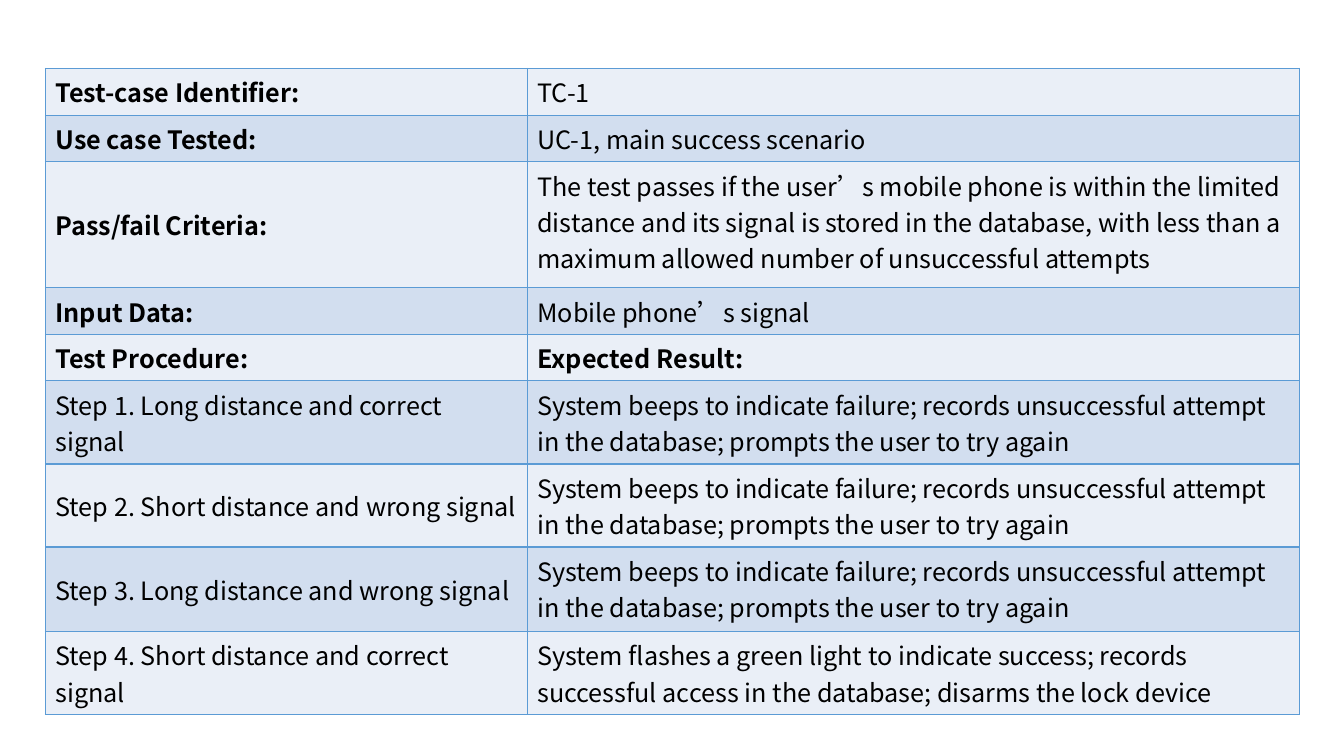
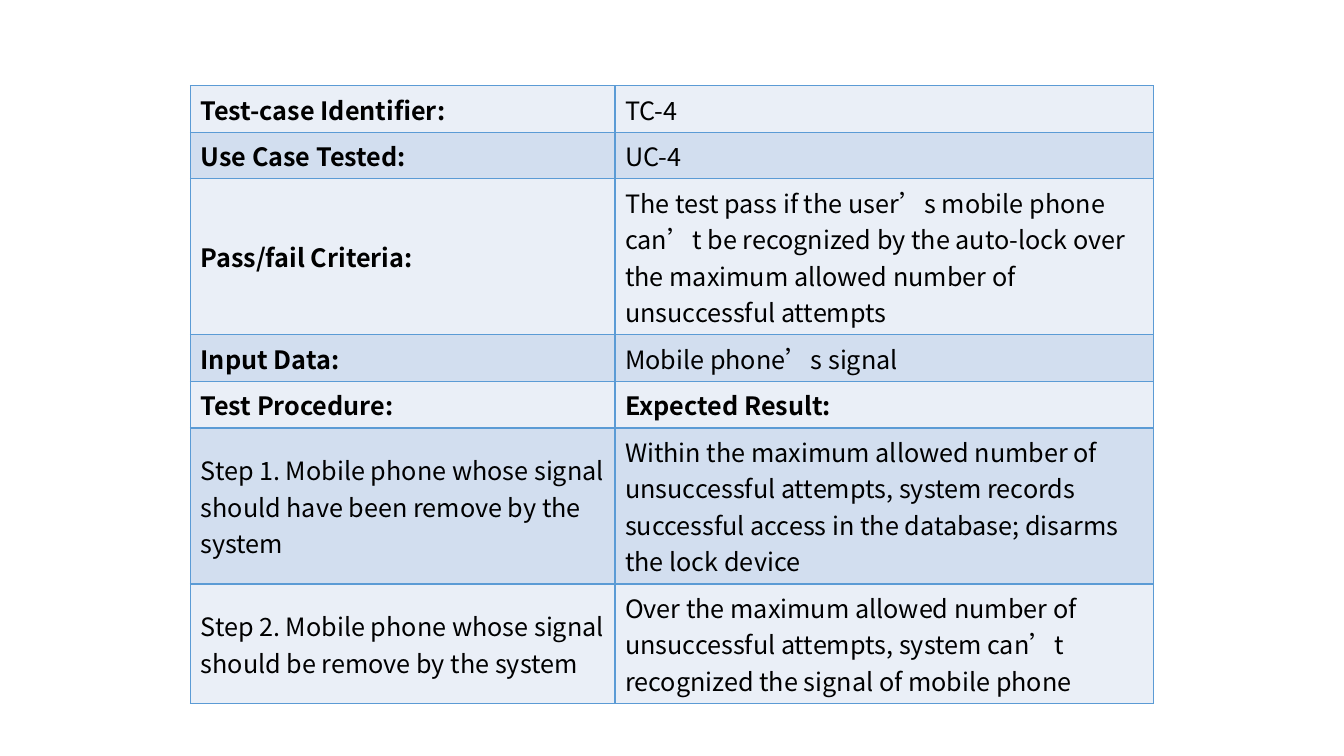
from dataclasses import dataclass

from lxml.etree import SubElement
from pptx import Presentation
from pptx.dml.color import RGBColor
from pptx.enum.text import MSO_ANCHOR as Anchor
from pptx.oxml.ns import qn
from pptx.slide import Slide
from pptx.table import _Cell as Cell
from pptx.util import Inches, Pt

COLORS = {"light": "EAEFF7", "dark": "D2DEEF", "border": "5B9BD5", "text": "000000"}
FONT = "Noto Sans CJK SC"
FONT_SIZE = Pt(18)
BORDER_WIDTH = Pt(1)
FAILURE = ("System beeps to indicate failure; records unsuccessful attempt "
           "in the database; prompts the user to try again")


@dataclass
class TestCase:
    """A two-column test-case table; lengths are in inches."""
    left: float
    top: float
    widths: list[float]
    heights: list[float]
    rows: list[tuple[str, str]]
    result_anchor: Anchor


TEST_CASES = [
    TestCase(
        0.45, 0.68, [4.78, 7.66],
        [0.45, 0.45, 1.25, 0.45, 0.45, 0.74, 0.76, 0.84, 0.77],
        [
            ("Test-case Identifier:", "TC-1"),
            ("Use case Tested:", "UC-1, main success scenario"),
            ("Pass/fail Criteria:",
             "The test passes if the user’s mobile phone is within the limited "
             "distance and its signal is stored in the database, with less than a "
             "maximum allowed number of unsuccessful attempts"),
            ("Input Data:", "Mobile phone’s signal"),
            ("Test Procedure:", "Expected Result:"),
            ("Step 1. Long distance and correct signal", FAILURE),
            ("Step 2. Short distance and wrong signal", FAILURE),
            ("Step 3. Long distance and wrong signal", FAILURE),
            ("Step 4. Short distance and correct signal",
             "System flashes a green light to indicate success; records "
             "successful access in the database; disarms the lock device"),
        ],
        Anchor.TOP),
    TestCase(
        1.89, 0.85, [4.21, 5.34],
        [0.43, 0.43, 1.37, 0.43, 0.43, 0.6, 1.05],
        [
            ("Test-case Identifier:", "TC-4"),
            ("Use Case Tested:", "UC-4"),
            ("Pass/fail Criteria:",
             "The test pass if the user’s mobile phone can’t be recognized by the "
             "auto-lock over the maximum allowed number of unsuccessful attempts"),
            ("Input Data:", "Mobile phone’s signal"),
            ("Test Procedure:", "Expected Result:"),
            ("Step 1. Mobile phone whose signal should have been remove by the system",
             "Within the maximum allowed number of unsuccessful attempts, system "
             "records successful access in the database; disarms the lock device"),
            ("Step 2. Mobile phone whose signal should be remove by the system",
             "Over the maximum allowed number of unsuccessful attempts, system "
             "can’t recognized the signal of mobile phone"),
        ],
        Anchor.MIDDLE),
]


def rgb(name: str) -> RGBColor:
    """Look up a palette colour."""
    return RGBColor.from_string(COLORS[name])


def add_borders(cell: Cell) -> None:
    """Outline a cell; the lines must precede its fill in the XML."""
    props = cell._tc.get_or_add_tcPr()
    for side in ("lnL", "lnR", "lnT", "lnB"):
        line = SubElement(props, qn(f"a:{side}"), w=str(BORDER_WIDTH))
        fill = SubElement(line, qn("a:solidFill"))
        SubElement(fill, qn("a:srgbClr"), val=COLORS["border"])


def fill_cell(cell: Cell, text: str, color: str, anchor: Anchor) -> None:
    """Write and style a cell; labels ending in a colon are bold."""
    add_borders(cell)
    cell.fill.solid()
    cell.fill.fore_color.rgb = rgb(color)
    cell.vertical_anchor = anchor
    cell.text_frame.text = text
    r = cell.text_frame.paragraphs[0].runs[0]
    r.font.name = FONT
    r.font.size = FONT_SIZE
    r.font.bold = text.endswith(":")
    r.font.color.rgb = rgb("text")
    SubElement(r.font._element, qn("a:ea"), typeface=FONT)


def add_test_case(s: Slide, case: TestCase) -> None:
    """Draw one test case as a table with alternating row fills."""
    table = s.shapes.add_table(
        len(case.rows), len(case.widths), Inches(case.left), Inches(case.top),
        Inches(sum(case.widths)), Inches(sum(case.heights))).table
    table.first_row = table.horz_banding = False
    for column, width in zip(table.columns, case.widths):
        column.width = Inches(width)
    for i, (row, height, texts) in enumerate(zip(table.rows, case.heights, case.rows)):
        row.height = Inches(height)
        color = "dark" if i % 2 else "light"
        anchors = (Anchor.MIDDLE, case.result_anchor)
        for cell, text, anchor in zip(row.cells, texts, anchors):
            fill_cell(cell, text, color, anchor)


def main() -> None:
    """Build one slide per test case."""
    prs = Presentation()
    prs.slide_width, prs.slide_height = Inches(13.33), Inches(7.5)
    for case in TEST_CASES:
        add_test_case(prs.slides.add_slide(prs.slide_layouts[6]), case)
    prs.save("out.pptx")


main()
